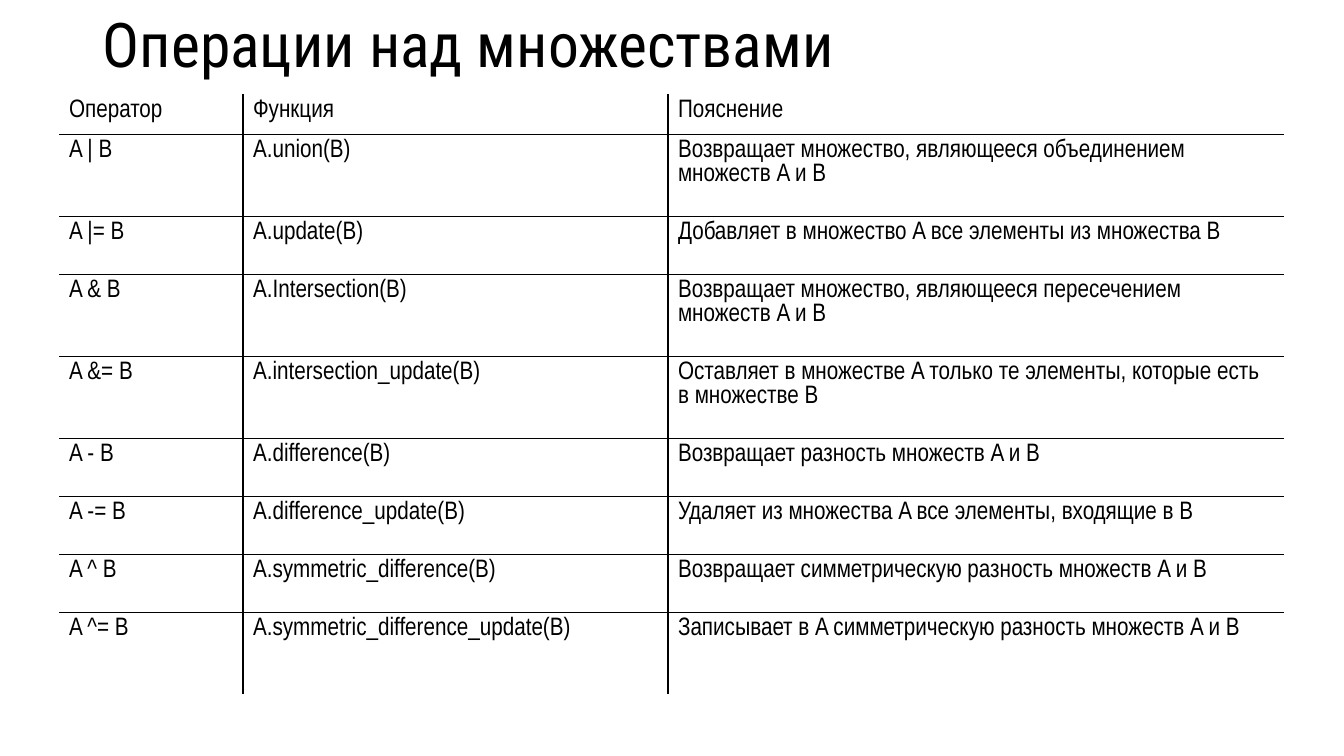
from lxml import etree
from pptx import Presentation
from pptx.dml.color import RGBColor
from pptx.enum.text import MSO_ANCHOR
from pptx.oxml.ns import qn
from pptx.util import Emu, Pt

MIDDLE, TOP = MSO_ANCHOR.MIDDLE, MSO_ANCHOR.TOP
BLACK = "000000"
BORDER_WIDTH = Pt(1)


def px(length):
    return Emu(round(length * 914400 / 100.8))


def add_run(paragraph, text, font_name, size, color=BLACK):
    run = paragraph.add_run()
    run.text = text
    run.font.name = font_name
    run.font.size = Pt(size)
    run.font.color.rgb = RGBColor.from_string(color)


presentation = Presentation()
presentation.slide_width, presentation.slide_height = px(1344), px(756)
slide = presentation.slides.add_slide(presentation.slide_layouts[6])

# Title
title = slide.shapes.add_textbox(px(93), px(2), px(1159), px(92))
title.text_frame.word_wrap = True
title.text_frame.vertical_anchor = MIDDLE
title_paragraph = title.text_frame.paragraphs[0]
title_paragraph.line_spacing = 0.9
add_run(title_paragraph, "Операции над множествами", "Roboto Condensed", 44)

# Table content: row height, then operator, function and explanation
rows = [
    (40, "Оператор", "Функция", "Пояснение"),
    (82, "A | B", "A.union(B)",
     "Возвращает множество, являющееся объединением множеств A и B"),
    (58, "A |= B", "A.update(B)",
     "Добавляет в множество A все элементы из множества B"),
    (82, "A & B", "A.Intersection(B)",
     "Возвращает множество, являющееся пересечением множеств A и B"),
    (82, "A &= B", "A.intersection_update(B)",
     "Оставляет в множестве A только те элементы, которые есть в множестве B"),
    (58, "A - B", "A.difference(B)", "Возвращает разность множеств A и B"),
    (58, "A -= B", "A.difference_update(B)",
     "Удаляет из множества A все элементы, входящие в B"),
    (58, "A ^ B", "A.symmetric_difference(B)",
     "Возвращает симметрическую разность множеств A и B"),
    (82, "A ^= B", "A.symmetric_difference_update(B)",
     "Записывает в A симметрическую разность множеств A и B"),
]
column_widths = [184, 425, 616]
last_row, last_column = len(rows) - 1, len(column_widths) - 1

# Table frame
table = slide.shapes.add_table(
    len(rows), len(column_widths), px(59), px(94),
    px(sum(column_widths)), px(sum(row[0] for row in rows))).table
table.first_row = False
table.horz_banding = False
for column, width in zip(table.columns, column_widths):
    column.width = px(width)

# Cells, with borders only between neighbours
for row_index, (height, *texts) in enumerate(rows):
    table.rows[row_index].height = px(height)
    for column_index, text in enumerate(texts):
        cell = table.cell(row_index, column_index)
        cell.fill.background()
        cell.vertical_anchor = TOP
        add_run(cell.text_frame.paragraphs[0], text, "Arial Narrow", 18)

        sides = [("a:lnL", column_index > 0), ("a:lnR", column_index < last_column),
                 ("a:lnT", row_index > 0), ("a:lnB", row_index < last_row)]
        properties = cell._tc.get_or_add_tcPr()
        for position, (tag, is_inner) in enumerate(sides):
            border = etree.Element(qn(tag), w=str(BORDER_WIDTH))
            if is_inner:
                fill = etree.SubElement(border, qn("a:solidFill"))
                etree.SubElement(fill, qn("a:srgbClr"), val=BLACK)
            else:
                etree.SubElement(border, qn("a:noFill"))
            properties.insert(position, border)

presentation.save("out.pptx")
